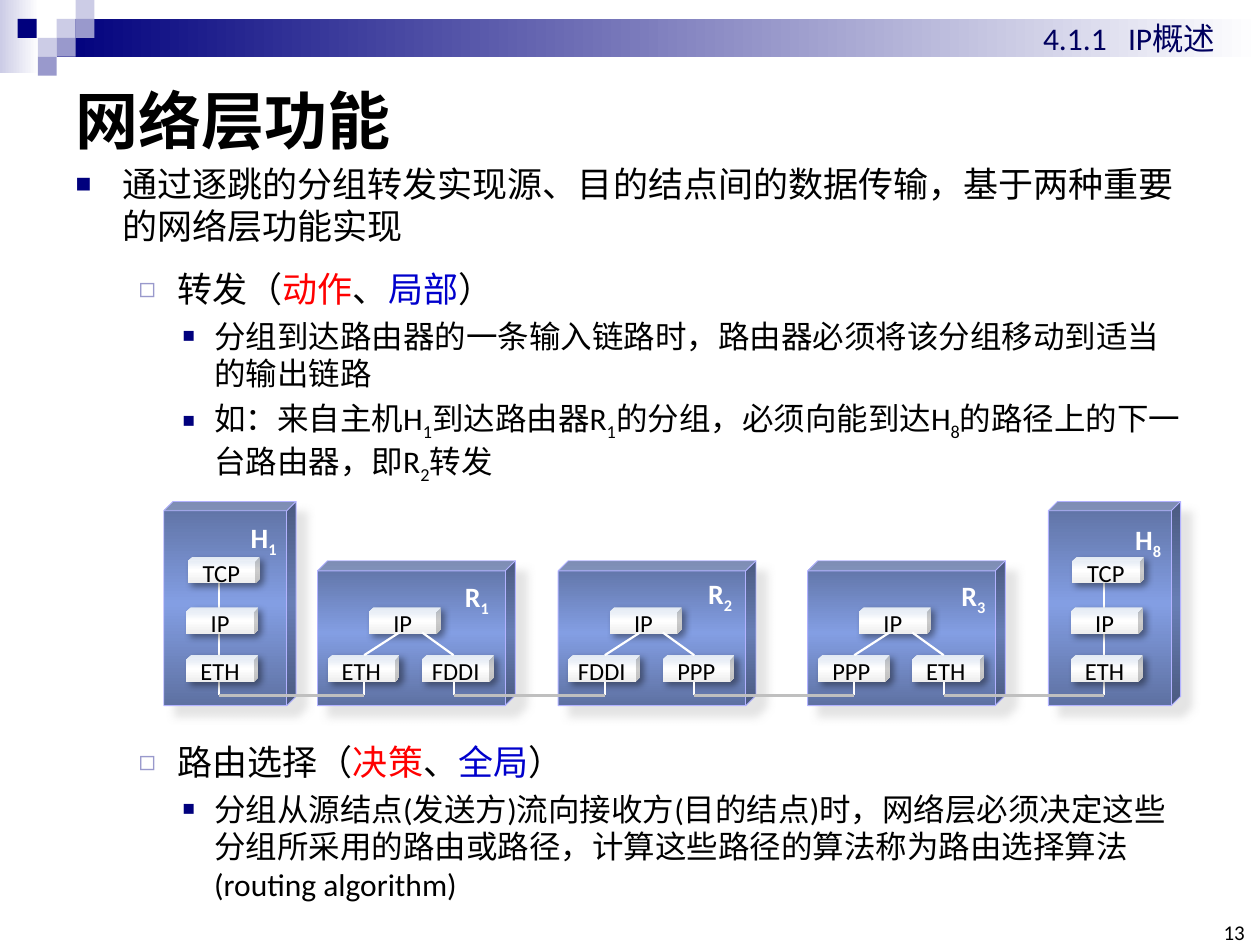
from lxml import etree
from pptx import Presentation
from pptx.dml.color import RGBColor
from pptx.enum.shapes import MSO_CONNECTOR, MSO_SHAPE
from pptx.enum.text import MSO_ANCHOR, MSO_AUTO_SIZE, PP_ALIGN
from pptx.oxml.ns import qn
from pptx.util import Inches, Pt

RECTANGLE, CUBE, STRAIGHT = MSO_SHAPE.RECTANGLE, MSO_SHAPE.CUBE, MSO_CONNECTOR.STRAIGHT
MIDDLE, BOTTOM = MSO_ANCHOR.MIDDLE, MSO_ANCHOR.BOTTOM
LEFT, CENTER, RIGHT = PP_ALIGN.LEFT, PP_ALIGN.CENTER, PP_ALIGN.RIGHT
FONT = "Calibri"
BLACK = RGBColor(0, 0, 0)
WHITE = RGBColor(255, 255, 255)
RED = RGBColor(255, 0, 0)
BLUE = RGBColor(0, 0, 0xCC)
NAVY = RGBColor(0, 0, 0x7D)
DARK_NAVY = RGBColor(0, 0, 0x5E)
LAVENDER = RGBColor(0x99, 0x99, 0xCC)
PALE = RGBColor(0xCC, 0xCC, 0xE6)
EDGE = RGBColor(0xB2, 0xB2, 0xFF)
GREY = RGBColor(0xBF, 0xBF, 0xBF)
STEEL = RGBColor(0x5E, 0x71, 0xA2)
SKY = RGBColor(0x83, 0x9E, 0xE3)
ICE = RGBColor(0xDB, 0xE4, 0xF1)
SILVER = RGBColor(0xEE, 0xEE, 0xEE)
CABINET_SHADOW = (RGBColor(0xCA, 0xCA, 0xCA), 50, 5, 8.5)
LAYER_SHADOW = (BLACK, 40, 4, 3)
SUB = "subscript"

TITLE = "网络层功能"
SECTION = "4.1.1   IP概述"
PAGE = "13"
BODY = [
    (0, 4, [("通过逐跳的分组转发实现源、目的结点间的数据传输，基于两种重要的网络层功能实现", BLACK)]),
    (1, 12, [("转发（", BLACK), ("动作", RED), ("、", BLACK), ("局部", BLUE), ("）", BLACK)]),
    (2, 4, [("分组到达路由器的一条输入链路时，路由器必须将该分组移动到适当的输出链路", BLACK)]),
    (2, 4, [("如：来自主机H", BLACK), ("1", SUB), ("到达路由器R", BLACK), ("1", SUB),
            ("的分组，必须向能到达H", BLACK), ("8", SUB),
            ("的路径上的下一台路由器，即R", BLACK), ("2", SUB), ("转发", BLACK)]),
    (1, 146, [("路由选择（", BLACK), ("决策", RED), ("、", BLACK), ("全局", BLUE), ("）", BLACK)]),
    (2, 4, [("分组从源结点(发送方)流向接收方(目的结点)时，网络层必须决定这些分组所采用的路由或路径，"
             "计算这些路径的算法称为路由选择算法(routing algorithm)", BLACK)]),
]
LEVELS = [(20, 0.37, -0.37, "■", NAVY, 75), (20, 0.81, -0.31, "◻", LAVENDER, 80),
          (18, 1.1, -0.25, "■", NAVY, 65)]
BANDS = [(0, 0, 0.31, 0.58, PALE), (0.45, 0.15, 9.55, 0.3, NAVY)]
TILE = 0.15
TILES = [(0.45, 0.15, PALE), (0.6, 0, PALE), (0.6, 0.15, LAVENDER), (0.3, 0.3, PALE),
         (0.14, 0.15, NAVY), (0.45, 0.3, LAVENDER), (0.3, 0.45, LAVENDER)]
HOSTS = [(1.3, "H", "1", 1.99, 4.08), (8.32, "H", "8", 9.01, 4.1)]
ROUTERS = [(2.52, "R", "1", 3.69, 4.55, "ETH", "FDDI"),
           (4.43, "R", "2", 5.62, 4.53, "FDDI", "PPP"),
           (6.41, "R", "3", 7.63, 4.54, "PPP", "ETH")]
TOP_ROW, IP_ROW, LINK_ROW, WIRE = 4.42, 4.82, 5.2, 5.52
LAYER_WIDTH, LAYER_HEIGHT = 0.57, 0.21
CABINET_BOTTOM = 5.6

presentation = Presentation()
presentation.slide_width, presentation.slide_height = Inches(10), Inches(7.5)
slide = presentation.slides.add_slide(presentation.slide_layouts[1])


def child(parent, tag, **attributes):
    return etree.SubElement(parent, qn(tag), {key: str(value) for key, value in attributes.items()})


def write(paragraph, runs, size, bold=False, align=LEFT):
    paragraph.alignment = align
    colour = BLACK
    for text, style in runs:
        run = paragraph.add_run()
        run.text = text
        if style == SUB:
            run._r.get_or_add_rPr().set("baseline", "-25000")
        else:
            colour = style
        run.font.name, run.font.size, run.font.bold = FONT, Pt(size), bold
        run.font.color.rgb = colour


def place(shape, *box):
    shape.left, shape.top, shape.width, shape.height = map(Inches, box)


def add_label(box, runs, size, bold=False, align=LEFT, margins=(0.1, 0.05)):
    frame = slide.shapes.add_textbox(*map(Inches, box)).text_frame
    frame.word_wrap = True
    frame.margin_left = frame.margin_right = Inches(margins[0])
    frame.margin_top = frame.margin_bottom = Inches(margins[1])
    write(frame.paragraphs[0], runs, size, bold, align)
    return frame


def add_block(kind, box, colours, angle=0, shadow=None):
    shape = slide.shapes.add_shape(kind, *map(Inches, box))
    shape.shadow.inherit = False
    shape.line.fill.background()
    properties = shape._element.spPr
    if len(colours) == 1:
        shape.fill.solid()
        shape.fill.fore_color.rgb = colours[0]
    else:
        gradient = etree.Element(qn("a:gradFill"), rotWithShape="1")
        stops = child(gradient, "a:gsLst")
        for index, colour in enumerate(colours):
            stop = child(stops, "a:gs", pos=100000 * index // (len(colours) - 1))
            child(stop, "a:srgbClr", val=colour)
        child(gradient, "a:lin", ang=angle * 60000, scaled=0)
        properties.find(qn("a:prstGeom")).addnext(gradient)
    if shadow:
        colour, alpha, blur, distance = shadow
        outer = child(properties.find(qn("a:effectLst")), "a:outerShdw", blurRad=Pt(blur),
                      dist=Pt(distance), dir=45 * 60000, algn="tl", rotWithShape=0)
        child(child(outer, "a:srgbClr", val=colour), "a:alpha", val=alpha * 1000)
    return shape


def add_cabinet(left, top, width):
    cabinet = add_block(CUBE, (left, top, width, CABINET_BOTTOM - top), (STEEL, SKY, STEEL), 90, CABINET_SHADOW)
    cabinet.adjustments[0] = 0.07
    cabinet.line.color.rgb = EDGE
    cabinet.line.width = Pt(0.5)


def add_layer(left, top, name):
    layer = add_block(CUBE, (left, top, LAYER_WIDTH, LAYER_HEIGHT), (ICE, WHITE, SILVER), 90, LAYER_SHADOW)
    layer.adjustments[0] = 0.17
    frame = layer.text_frame
    frame.word_wrap = False
    frame.vertical_anchor = MIDDLE
    write(frame.paragraphs[0], [(name, BLACK)], 14, align=CENTER)


def add_line(x1, y1, x2, y2, colour=WHITE):
    line = slide.shapes.add_connector(STRAIGHT, *map(Inches, (x1, y1, x2, y2)))
    line.line.color.rgb = colour
    line.line.width = Pt(1.25)
    child(line._element.spPr, "a:effectLst")


for *box, colour in BANDS:
    add_block(RECTANGLE, box, (colour, WHITE))
for left, top, colour in TILES:
    add_block(RECTANGLE, (left, top, TILE, TILE), (colour,))

title, body = slide.shapes.title, slide.placeholders[1]
place(title, 0.5, 0.5, 9, 0.89)
title.text_frame.vertical_anchor = MIDDLE
title.text_frame.auto_size = MSO_AUTO_SIZE.NONE
write(title.text_frame.paragraphs[0], [(TITLE, BLACK)], 36, True)

place(body, 0.5, 1.24, 9, 6.15)
body.text_frame.auto_size = MSO_AUTO_SIZE.NONE
for index, (level, space, runs) in enumerate(BODY):
    paragraph = body.text_frame.add_paragraph() if index else body.text_frame.paragraphs[0]
    size, margin, indent, bullet, colour, percent = LEVELS[level]
    paragraph.level = level
    paragraph.space_before = Pt(space)
    write(paragraph, runs, size)
    properties = paragraph._p.get_or_add_pPr()
    properties.set("marL", str(Inches(margin)))
    properties.set("indent", str(Inches(indent)))
    child(child(properties, "a:buClr"), "a:srgbClr", val=colour)
    child(properties, "a:buSzPct", val=percent * 1000)
    child(properties, "a:buChar", char=bullet)

add_label((9.65, 7.33, 0.23, 0.17), [(PAGE, BLACK)], 12, align=RIGHT, margins=(0, 0)).vertical_anchor = BOTTOM
add_label((8.18, 0.1, 1.7, 0.4), [(SECTION, DARK_NAVY)], 18)

for left, *_ in HOSTS:
    add_cabinet(left, 3.98, 1.05)
    add_line(left + 0.44, TOP_ROW + 0.2, left + 0.44, WIRE)
    for offset, top, name in [(0.19, TOP_ROW, "TCP"), (0.18, IP_ROW, "IP"), (0.18, LINK_ROW, "ETH")]:
        add_layer(left + offset, top, name)

for left, *_, link_in, link_out in ROUTERS:
    add_cabinet(left, 4.45, 1.57)
    for offset, top, name in [(0.41, IP_ROW, "IP"), (0.08, LINK_ROW, link_in), (0.83, LINK_ROW, link_out)]:
        add_layer(left + offset, top, name)
    for start, end in [(0.65, 0.37), (0.83, 1.08)]:
        add_line(left + start, IP_ROW + 0.2, left + end, LINK_ROW)
        add_line(left + end, LINK_ROW + LAYER_HEIGHT, left + end, WIRE)

arrivals = [router[0] + 0.37 for router in ROUTERS] + [HOSTS[1][0] + 0.44]
departures = [HOSTS[0][0] + 0.44] + [router[0] + 1.08 for router in ROUTERS]
for start, end in zip(departures, arrivals):
    add_line(start, WIRE, end, WIRE, GREY)

for _, letter, number, left, top, *_ in HOSTS + ROUTERS:
    add_label((left, top, 0.37, 0.37), [(letter, WHITE), (number, SUB)], 16, True, margins=(0, 0.05))

presentation.save("out.pptx")
